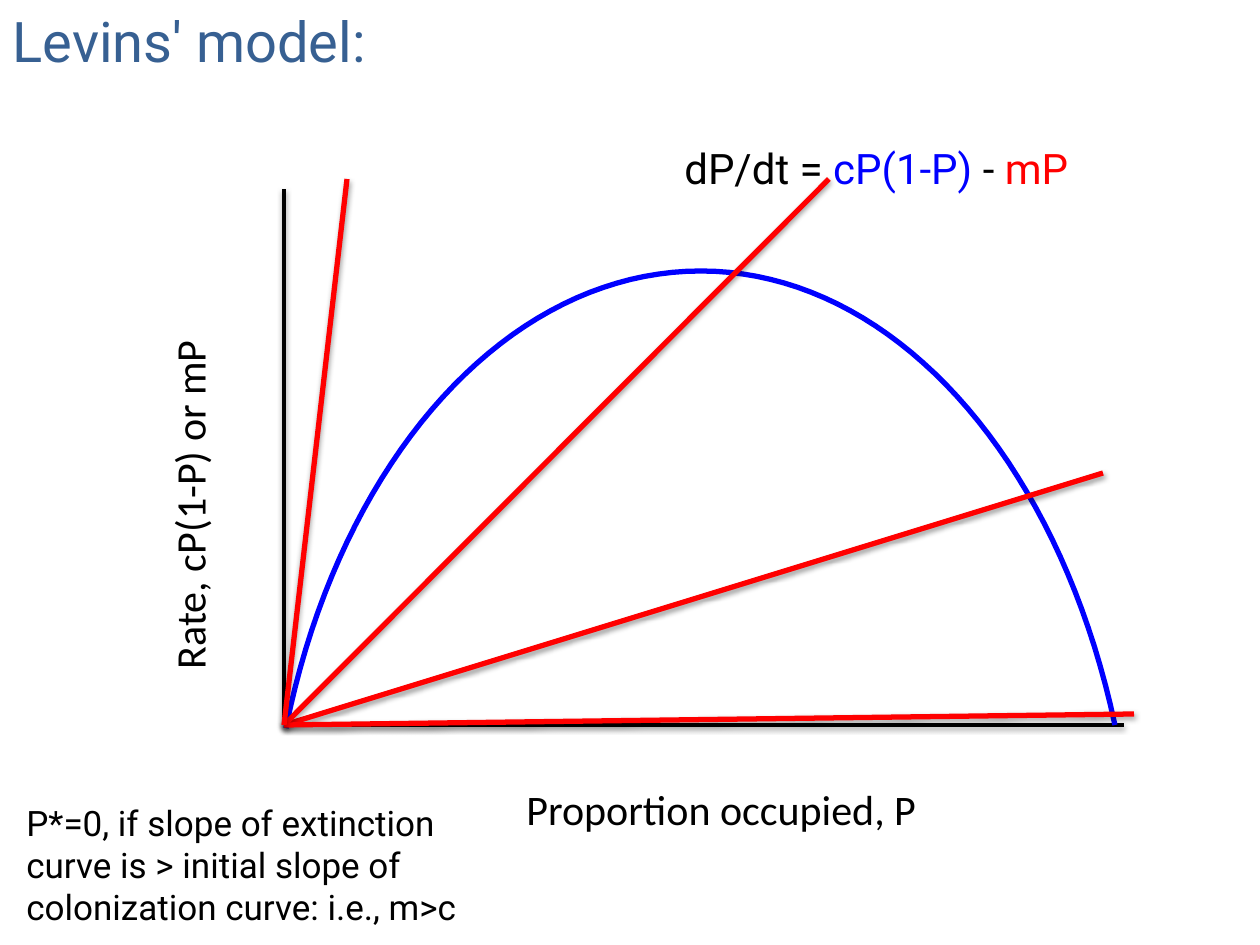
from dataclasses import dataclass

import lxml.etree
import pptx
import pptx.dml.color
import pptx.enum.shapes
import pptx.enum.text
import pptx.oxml.ns
import pptx.util

EMU_PER_PX = 914400 / 126
BLACK, BLUE, RED, TITLE_BLUE = "000000", "0000FF", "FF0000", "376092"
ORIGIN = (284, 725)
CURVE_STEPS = 40


@dataclass(frozen=True)
class Ray:
    end: tuple[int, int]
    color: str
    width: int


@dataclass(frozen=True)
class Box:
    left: int
    top: int
    width: int
    height: int


AXES = [Ray((284, 189), BLACK, 2), Ray((1124, 725), BLACK, 2)]
EXTINCTION_LINES = [
    Ray(end, RED, 3) for end in [(1103, 473), (829, 179), (1134, 714), (347, 179)]
]
COLONIZATION_ARCS = [
    [(1115, 725), (1057, 454), (890, 271), (701, 271)],
    [(701, 271), (510, 271), (341, 456), (286, 728)],
]


def px(length: float) -> int:
    return round(length * EMU_PER_PX)


def rgb(color: str) -> pptx.dml.color.RGBColor:
    return pptx.dml.color.RGBColor.from_string(color)


def write_text(shape, text, *, size: int, font: str, color: str = BLACK,
               wrap: bool = True) -> None:
    frame = shape.text_frame
    frame.word_wrap = wrap
    frame.auto_size = pptx.enum.text.MSO_AUTO_SIZE.SHAPE_TO_FIT_TEXT
    frame.vertical_anchor = pptx.enum.text.MSO_ANCHOR.TOP
    paragraph = frame.paragraphs[0]
    paragraph.alignment = pptx.enum.text.PP_ALIGN.LEFT
    pieces = [(text, color)] if isinstance(text, str) else text
    for piece, piece_color in pieces:
        run = paragraph.add_run()
        run.text = piece
        run.font.size = pptx.util.Pt(size)
        run.font.name = font
        run.font.color.rgb = rgb(piece_color)


def add_label(slide, box: Box, text, *, rotation: int = 0, **text_format) -> None:
    label = slide.shapes.add_textbox(
        px(box.left), px(box.top), px(box.width), px(box.height))
    label.rotation = rotation
    write_text(label, text, **text_format)


def add_soft_shadow(line) -> None:
    qn = pptx.oxml.ns.qn
    effects = lxml.etree.SubElement(line._element.spPr, qn("a:effectLst"))
    shadow = lxml.etree.SubElement(
        effects, qn("a:outerShdw"), blurRad=str(pptx.util.Pt(3.1)),
        dist=str(pptx.util.Pt(1.6)), dir="5400000", rotWithShape="0")
    tint = lxml.etree.SubElement(shadow, qn("a:srgbClr"), val=BLACK)
    lxml.etree.SubElement(tint, qn("a:alpha"), val="38000")


def add_ray(slide, ray: Ray) -> None:
    line = slide.shapes.add_connector(
        pptx.enum.shapes.MSO_CONNECTOR.STRAIGHT,
        *map(px, ORIGIN), *map(px, ray.end))
    line.line.color.rgb = rgb(ray.color)
    line.line.width = pptx.util.Pt(ray.width)
    add_soft_shadow(line)


def bezier_point(controls: list[tuple[int, int]], t: float) -> tuple[int, int]:
    weights = [(1 - t) ** 3, 3 * t * (1 - t) ** 2, 3 * t ** 2 * (1 - t), t ** 3]
    x = sum(weight * control[0] for weight, control in zip(weights, controls))
    y = sum(weight * control[1] for weight, control in zip(weights, controls))
    return px(x), px(y)


def add_colonization_curve(slide) -> None:
    points = [
        bezier_point(arc, step / CURVE_STEPS)
        for arc in COLONIZATION_ARCS
        for step in range(1, CURVE_STEPS + 1)
    ]
    start = bezier_point(COLONIZATION_ARCS[0], 0)
    builder = slide.shapes.build_freeform(*start)
    builder.add_line_segments(points, close=False)
    curve = builder.convert_to_shape()
    curve.shadow.inherit = False
    curve.fill.background()
    curve.line.color.rgb = rgb(BLUE)
    curve.line.width = pptx.util.Pt(3)


def main() -> None:
    presentation = pptx.Presentation()
    presentation.slide_width = px(1260)
    presentation.slide_height = px(945)
    slide = presentation.slides.add_slide(presentation.slide_layouts[5])

    title = slide.shapes.title
    title.left, title.top, title.width, title.height = map(px, (0, 0, 1157, 81))
    write_text(title, "Levins' model:", size=32, font="Roboto", color=TITLE_BLUE)

    add_label(slide, Box(514, 777, 504, 63), "Proportion occupied, P",
              size=24, font="Calibri")
    for axis in AXES:
        add_ray(slide, axis)
    add_label(slide, Box(-63, 398, 504, 63), "Rate, cP(1-P) or mP",
              rotation=270, size=24, font="Calibri")
    add_colonization_curve(slide)

    equation = [("dP/dt = ", BLACK), ("cP(1-P)", BLUE), (" - ", BLACK), ("mP", RED)]
    add_label(slide, Box(672, 136, 418, 63), equation,
              size=24, font="Roboto", wrap=False)
    for extinction in EXTINCTION_LINES:
        add_ray(slide, extinction)
    add_label(slide, Box(14, 795, 491, 140),
              "P*=0, if slope of extinction curve is > initial slope of "
              "colonization curve: i.e., m>c", size=20, font="Roboto")

    presentation.save("out.pptx")


if __name__ == "__main__":
    main()
